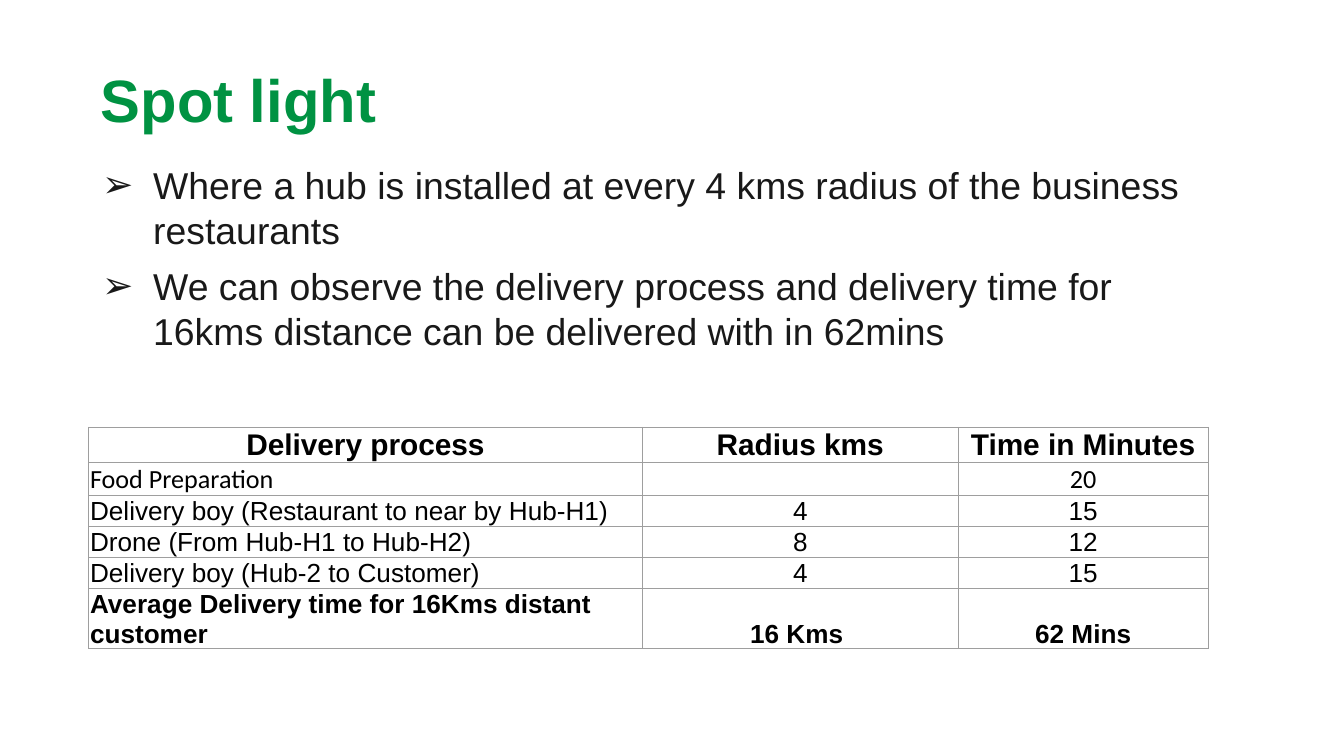
from typing import NamedTuple

from lxml.etree import SubElement
from pptx import Presentation
from pptx.dml.color import RGBColor
from pptx.enum.text import MSO_ANCHOR, PP_ALIGN
from pptx.oxml.ns import qn
from pptx.util import Inches, Pt

GREEN, INK, BLACK, GRID = "009242", "191919", "000000", "9E9E9E"


class Row(NamedTuple):
    cells: tuple[str, str, str]
    height: float
    size: int = 14
    bold: bool = False
    font: str = "Arial"
    first_align: PP_ALIGN = PP_ALIGN.LEFT


BULLETS = [
    "Where a hub is installed at every 4 kms radius of the business restaurants",
    "We can observe the delivery process and delivery time for "
    "16kms distance can be delivered with in 62mins",
]
COLUMN_WIDTHS = [4.12, 2.35, 1.86]
ROWS = [
    Row(("Delivery process", "Radius kms", "Time in Minutes"), 0.26, 16, True,
        first_align=PP_ALIGN.CENTER),
    Row(("Food Preparation", "", "20"), 0.24, font="Calibri"),
    Row(("Delivery boy (Restaurant to near by Hub-H1)", "4", "15"), 0.23),
    Row(("Drone (From Hub-H1 to Hub-H2)", "8", "12"), 0.23),
    Row(("Delivery boy (Hub-2 to Customer)", "4", "15"), 0.23),
    Row(("Average Delivery time for 16Kms distant customer", "16 Kms ", "62 Mins"),
        0.45, bold=True),
]


def color(value: str) -> RGBColor:
    return RGBColor.from_string(value)


def set_all(target, **values) -> None:
    for name, value in values.items():
        setattr(target, name, value)


def write(para, text: str, size: int, ink: str, bold: bool = False, font: str = "Arial") -> None:
    span = para.add_run()
    span.text = text
    set_all(span.font, size=Pt(size), bold=bold, name=font)
    span.font.color.rgb = color(ink)


def place(box, left: float, top: float, width: float, height: float) -> None:
    set_all(box, left=Inches(left), top=Inches(top),
            width=Inches(width), height=Inches(height))
    margins = {f"margin_{side}": Inches(0.1) for side in ("left", "top", "right", "bottom")}
    set_all(box.text_frame, word_wrap=True, vertical_anchor=MSO_ANCHOR.TOP, **margins)


def add_bullet(para) -> None:
    props = para._p.get_or_add_pPr()
    props.set("marL", str(Inches(0.38)))
    props.set("indent", str(-Inches(0.38)))
    bullet_color = SubElement(props, qn("a:buClr"))
    SubElement(bullet_color, qn("a:srgbClr"), val=INK)
    SubElement(props, qn("a:buFont"), typeface="Arial")
    SubElement(props, qn("a:buChar"), char="➢")


def add_borders(cell) -> None:
    props = cell._tc.get_or_add_tcPr()
    for side in ("a:lnL", "a:lnR", "a:lnT", "a:lnB"):
        line = SubElement(props, qn(side), w=str(Pt(0.75)))
        fill = SubElement(line, qn("a:solidFill"))
        SubElement(fill, qn("a:srgbClr"), val=GRID)


def fill_cell(cell, text: str, row: Row, align: PP_ALIGN) -> None:
    set_all(cell, vertical_anchor=MSO_ANCHOR.BOTTOM, margin_left=Inches(0.01),
            margin_top=Inches(0.01), margin_right=Inches(0.01), margin_bottom=0)
    add_borders(cell)
    cell.fill.background()
    para = cell.text_frame.paragraphs[0]
    para.alignment = align
    if text:
        write(para, text, row.size, BLACK, row.bold, row.font)
    else:
        # Keeps the default 18 pt of an empty cell from stretching its row
        SubElement(para._p, qn("a:endParaRPr"), sz=str(row.size * 100))


def add_delivery_table(page) -> None:
    frame = page.shapes.add_table(
        len(ROWS), len(COLUMN_WIDTHS), Inches(0.66), Inches(3.18),
        Inches(sum(COLUMN_WIDTHS)), Inches(sum(row.height for row in ROWS)))
    table = frame.table
    set_all(table, first_row=False, horz_banding=False)
    for column, width in zip(table.columns, COLUMN_WIDTHS):
        column.width = Inches(width)
    for index, row in enumerate(ROWS):
        table.rows[index].height = Inches(row.height)
        aligns = (row.first_align, PP_ALIGN.CENTER, PP_ALIGN.CENTER)
        for cell, text, align in zip(table.rows[index].cells, row.cells, aligns):
            fill_cell(cell, text, row, align)


def main() -> None:
    deck = Presentation()
    width = Inches(10)
    set_all(deck, slide_width=width, slide_height=width * 9 // 16)
    page = deck.slides.add_slide(deck.slide_layouts[1])

    title = page.shapes.title
    place(title, 0.65, 0.37, 8.43, 0.74)
    para = title.text_frame.paragraphs[0]
    set_all(para, alignment=PP_ALIGN.LEFT, line_spacing=1.0)
    write(para, "Spot light", 32, GREEN, bold=True)

    add_delivery_table(page)

    body = page.placeholders[1]
    place(body, 0.66, 1.11, 8.43, 1.84)
    for index, text in enumerate(BULLETS):
        para = body.text_frame.add_paragraph() if index else body.text_frame.paragraphs[0]
        add_bullet(para)
        set_all(para, line_spacing=1.0, space_before=Pt(6 if index else 0))
        write(para, text, 20, INK)

    deck.save("out.pptx")


if __name__ == "__main__":
    main()
